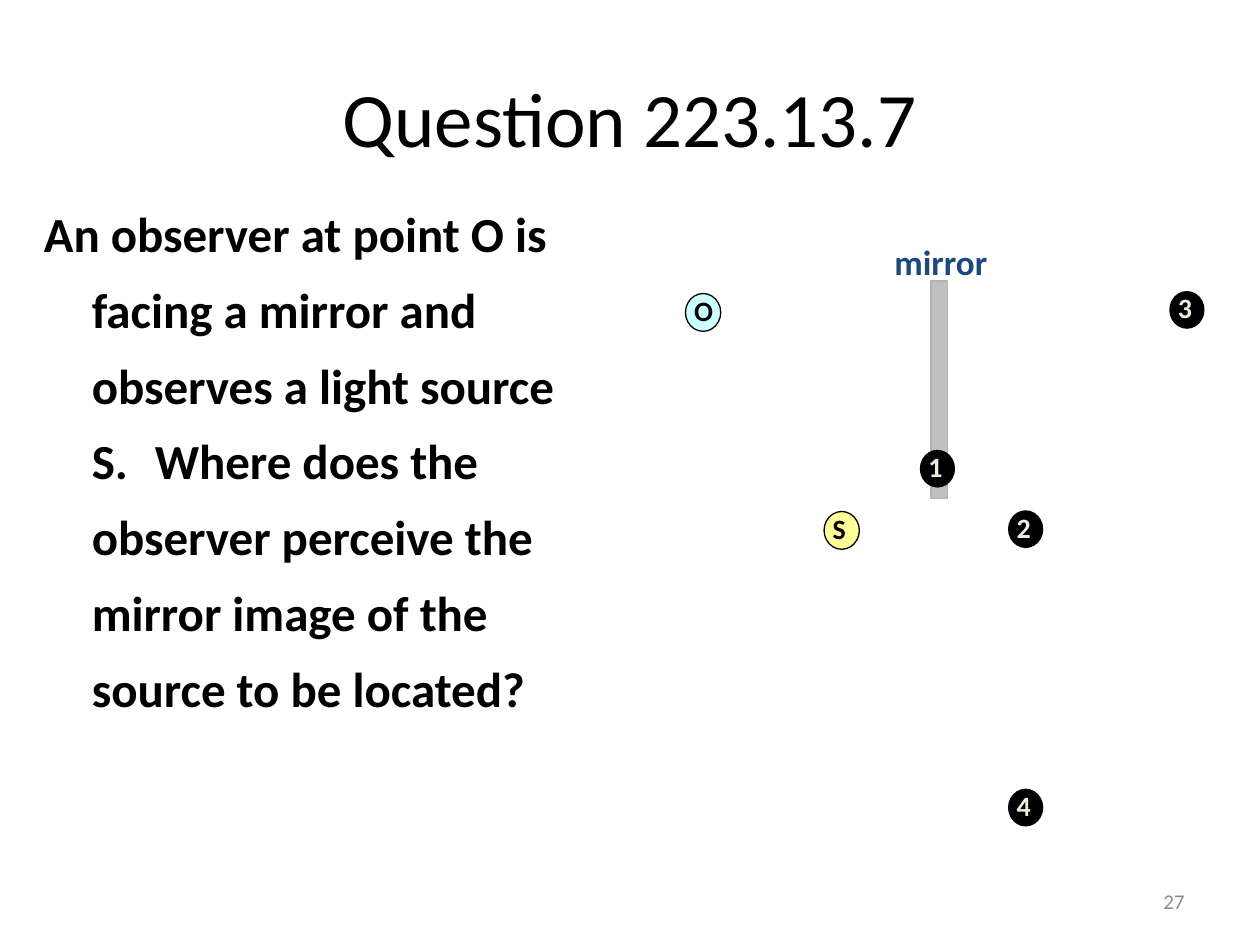
from dataclasses import dataclass

from lxml.etree import SubElement
from pptx import Presentation
from pptx.dml.color import RGBColor as RGB
from pptx.enum.shapes import MSO_SHAPE as Shape
from pptx.enum.text import MSO_ANCHOR as Anchor, MSO_AUTO_SIZE as AutoSize, PP_ALIGN as Align
from pptx.oxml.ns import qn
from pptx.util import Inches, Pt


@dataclass(frozen=True)
class Theme:
    font: str = "Calibri"
    ink: str = "000000"
    pale: str = "EEECE1"
    navy: str = "1F497D"
    muted: str = "8C8C8C"
    glass: str = "C0C0C0"
    glass_edge: str = "B2B2B2"
    observer: str = "CCFFFF"
    source: str = "FFFF99"
    title_size: int = 44
    body_size: int = 28
    caption_size: int = 20
    label_size: int = 16
    number_size: int = 12


class SlideBuilder:
    def __init__(self, slide, theme):
        self.slide = slide
        self.theme = theme

    def text(self, box, words, size, color, bold=False, align=Align.LEFT,
             anchor=Anchor.TOP, spacing=1.0, wrap=True):
        frame = self.slide.shapes.add_textbox(*map(Inches, box)).text_frame
        frame.word_wrap = wrap
        frame.auto_size = AutoSize.NONE if wrap else AutoSize.SHAPE_TO_FIT_TEXT
        frame.vertical_anchor = anchor
        paragraph = frame.paragraphs[0]
        paragraph.alignment = align
        paragraph.line_spacing = spacing
        run = paragraph.add_run()
        run.text = words
        run.font.name = self.theme.font
        run.font.size = Pt(size)
        run.font.bold = bold
        run.font.color.rgb = RGB.from_string(color)
        return paragraph

    def hanging_text(self, box, words, indent, tab):
        theme = self.theme
        paragraph = self.text(box, words, theme.body_size, theme.ink, bold=True, spacing=1.29)
        properties = paragraph._p.get_or_add_pPr()
        properties.set("marL", str(Inches(indent)))
        properties.set("indent", str(-Inches(indent)))
        stops = SubElement(properties, qn("a:tabLst"))
        SubElement(stops, qn("a:tab"), pos=str(Inches(tab)), algn="l")

    def label(self, box, words, size, color):
        self.text(box, words, size, color, bold=True, spacing=0.9, wrap=False)

    def shape(self, kind, box, fill, edge=None):
        shape = self.slide.shapes.add_shape(kind, *map(Inches, box))
        shape.shadow.inherit = False
        shape.fill.solid()
        shape.fill.fore_color.rgb = RGB.from_string(fill)
        if edge:
            shape.line.color.rgb = RGB.from_string(edge)
            shape.line.width = Pt(0.75)
        else:
            shape.line.fill.background()

    def marker(self, name, left, top, fill, color, edge=None, label_width=0.32):
        self.shape(Shape.OVAL, (left, top, 0.28, 0.3), fill, edge)
        self.label((left - 0.03, top - 0.02, label_width, 0.34), name,
                   self.theme.label_size, color)


def main():
    theme = Theme()
    deck = Presentation()
    deck.slide_width, deck.slide_height = Inches(10), Inches(7.5)
    page = SlideBuilder(deck.slides.add_slide(deck.slide_layouts[6]), theme)

    page.text((0.5, 0.3, 9, 1.25), "Question 223.13.7", theme.title_size, theme.ink,
              align=Align.CENTER, anchor=Anchor.MIDDLE)
    page.hanging_text(
        (0.25, 1.43, 4.55, 4.95),
        "An observer at point O is facing a mirror and observes a light source S.\t"
        "Where does the observer perceive the mirror image of the source to be located?",
        indent=0.38, tab=1.01)
    page.text((7.17, 6.95, 2.33, 0.4), "27", theme.number_size, theme.muted,
              align=Align.RIGHT, anchor=Anchor.MIDDLE)

    page.shape(Shape.RECTANGLE, (7.39, 2.23, 0.13, 1.73), theme.glass, theme.glass_edge)
    page.label((7, 1.9, 1.02, 0.4), "mirror", theme.caption_size, theme.navy)

    page.marker("O", 5.44, 2.33, theme.observer, theme.ink, theme.ink, label_width=0.38)
    page.marker("S", 6.54, 4.06, theme.source, theme.ink, theme.ink, label_width=0.35)
    candidates = [(7.3, 3.57), (8, 4.05), (9.28, 2.31), (8, 6.26)]
    for number, (left, top) in enumerate(candidates, start=1):
        page.marker(str(number), left, top, theme.ink, theme.pale)

    deck.save("out.pptx")


if __name__ == "__main__":
    main()
